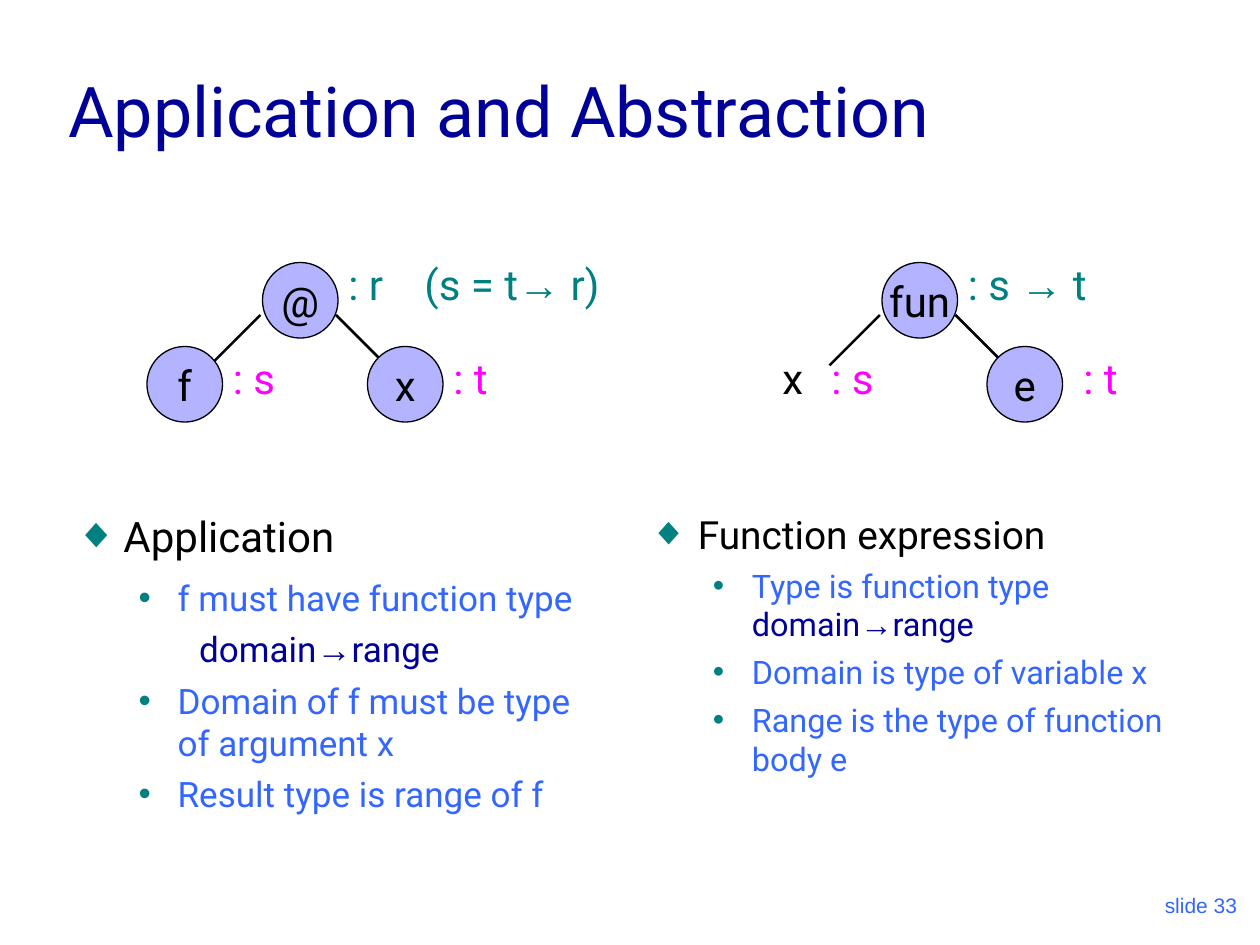
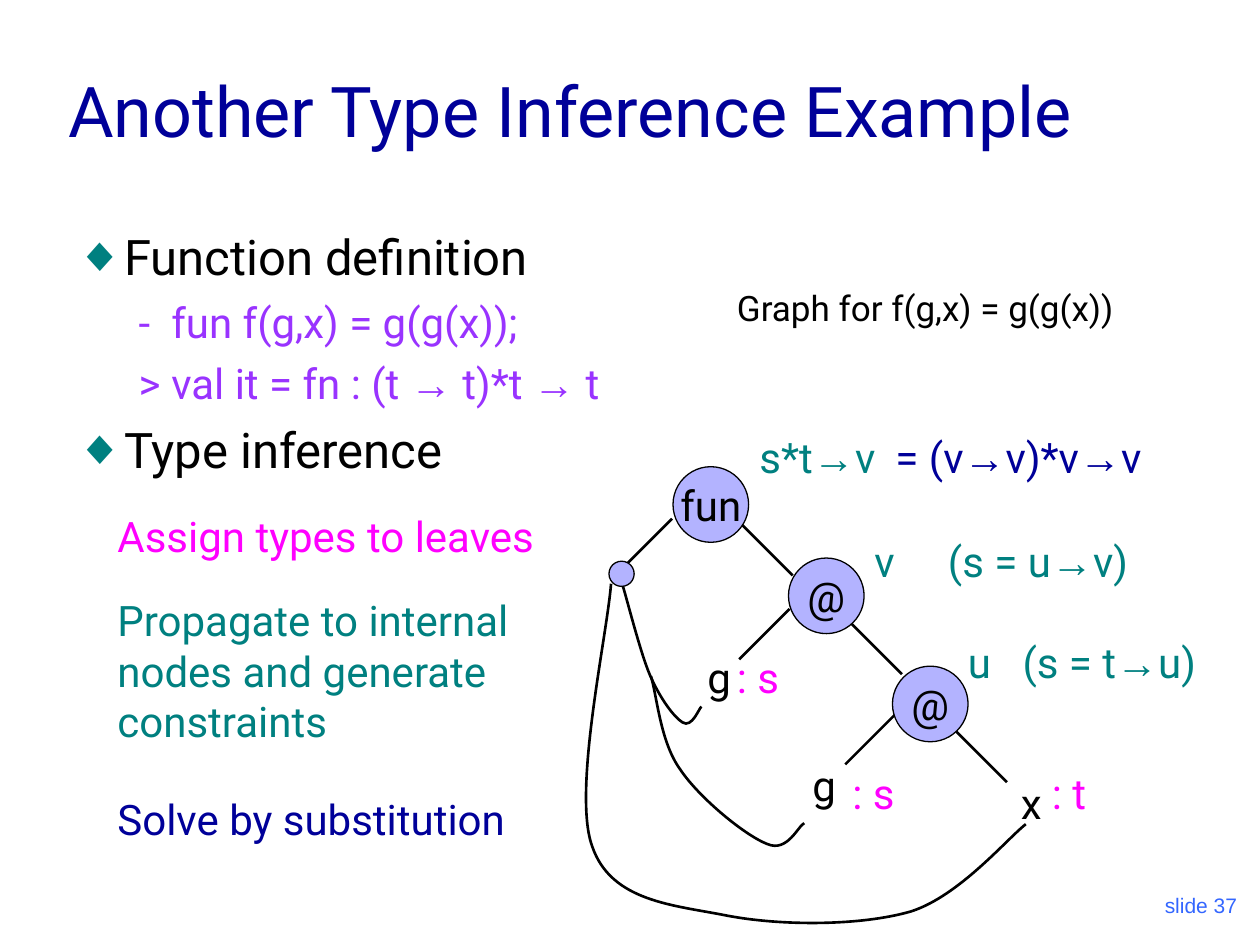
from dataclasses import dataclass
from itertools import groupby
from typing import NamedTuple

from lxml import etree
from pptx import Presentation, util as u
from pptx.dml.color import RGBColor
from pptx.enum import shapes, text
from pptx.oxml import ns

NAVY = RGBColor(0x00, 0x00, 0x99)
BLUE = RGBColor(0x33, 0x66, 0xFF)
TEAL = RGBColor(0x00, 0x80, 0x80)
PINK = RGBColor(0xFF, 0x00, 0xFF)
PURPLE = RGBColor(0x99, 0x33, 0xFF)
LILAC = RGBColor(0xB3, 0xB3, 0xFF)
BLACK = RGBColor(0x00, 0x00, 0x00)

MAIN_FONT, PLAIN_FONT = "Roboto", "Arial"
ARROW = "→"

# The slide is a grid of 120 columns by 90 rows of square cells.
COLUMNS, ROWS = 120, 90
CELL = u.Inches(10) // COLUMNS
NODE_SIZE, EDGE_REACH, LABEL_HEIGHT = 7.2, 4.8, 6
LEFT, RIGHT = -1, 1

Point = tuple[float, float]


class Span(NamedTuple):
    text: str
    color: RGBColor


@dataclass
class Item:
    """One paragraph of a list; indents are in inches."""
    spans: list[Span]
    size: float
    before: float
    level: int = 1
    margin: float = 0.81
    hang: float = 0.31
    bullet: str = "•"


@dataclass
class Label:
    """A piece of free text; a tab in it reaches the stop, in cells."""
    text: str
    x: float
    y: float
    color: RGBColor = TEAL
    width: float = 13
    height: float = LABEL_HEIGHT
    size: float = 24
    align: text.PP_ALIGN = text.PP_ALIGN.LEFT
    font: str = MAIN_FONT
    tab: float = 0


class Node(NamedTuple):
    text: str
    x: float
    y: float
    size: float = NODE_SIZE


class Edge(NamedTuple):
    x: float
    y: float
    side: int


def cells(*counts: float) -> list[u.Emu]:
    return [u.Emu(round(n * CELL)) for n in counts]


def set_font(font, name: str, size: float, color: RGBColor) -> None:
    font.name, font.size, font.color.rgb = name, u.Pt(size), color


def write(p, spans: list[Span], size: float, name: str = MAIN_FONT) -> None:
    """Fill a paragraph, with arrows set in the plain font."""
    set_font(p.font, name, size, spans[0].color)
    for span in spans:
        for is_arrow, chars in groupby(span.text, lambda c: c == ARROW):
            r = p.add_run()
            r.text = "".join(chars)
            set_font(r.font, PLAIN_FONT if is_arrow else name, size, span.color)


def add_before_font(p, elements: list) -> None:
    """Put elements where the schema wants them, ahead of the font."""
    defaults = p._p.get_or_add_pPr().find(ns.qn("a:defRPr"))
    for element in elements:
        defaults.addprevious(element)


def set_bullet(p, item: Item) -> None:
    pPr = p._p.get_or_add_pPr()
    pPr.set("marL", str(u.Inches(item.margin)))
    pPr.set("indent", str(-u.Inches(item.hang)))
    if not item.bullet:
        add_before_font(p, [etree.Element(ns.qn("a:buNone"))])
        return
    color = etree.Element(ns.qn("a:buClr"))
    etree.SubElement(color, ns.qn("a:srgbClr"), val=str(TEAL))
    add_before_font(p, [color,
                        etree.Element(ns.qn("a:buFont"), typeface=PLAIN_FONT),
                        etree.Element(ns.qn("a:buChar"), char=item.bullet)])


def place(sp, x: float, y: float, width: float, height: float) -> None:
    sp.left, sp.top, sp.width, sp.height = cells(x, y, width, height)


def fill_list(sp, items: list[Item]) -> None:
    tf = sp.text_frame
    tf.auto_size = text.MSO_AUTO_SIZE.NONE
    for i, item in enumerate(items):
        p = tf.add_paragraph() if i else tf.paragraphs[0]
        p.level = item.level
        p.space_before = u.Pt(item.before)
        write(p, item.spans, item.size)
        set_bullet(p, item)


def heading(words: str, size: float, before: float) -> Item:
    return Item([Span(words, BLACK)], size, before, 0, 0.38, 0.38, "◆")


def point(words: str, size: float, before: float = 5) -> Item:
    return Item([Span(words, BLUE)], size, before)


def code(words: str) -> Item:
    return Item([Span(words, PURPLE)], 24, 6, 1, 0.76, 0.26, "")


def add_label(s, label: Label):
    sp = s.shapes.add_textbox(*cells(label.x, label.y, label.width, label.height))
    tf = sp.text_frame
    tf.word_wrap = True
    p = tf.paragraphs[0]
    p.alignment = label.align
    write(p, [Span(label.text, label.color)], label.size, label.font)
    if label.tab:
        stops = etree.Element(ns.qn("a:tabLst"))
        etree.SubElement(stops, ns.qn("a:tab"), pos=str(cells(label.tab)[0]), algn="l")
        add_before_font(p, [stops])
    return sp


def add_node(s, node: Node) -> None:
    sp = s.shapes.add_shape(shapes.MSO_SHAPE.OVAL,
                            *cells(node.x, node.y, node.size, node.size))
    sp.shadow.inherit = False
    sp.fill.solid()
    sp.fill.fore_color.rgb = LILAC
    sp.line.color.rgb = BLACK
    sp.line.width = u.Pt(0.75)
    if node.text:
        tf = sp.text_frame
        tf.word_wrap = False
        tf.vertical_anchor = text.MSO_ANCHOR.MIDDLE
        p = tf.paragraphs[0]
        p.alignment = text.PP_ALIGN.CENTER
        write(p, [Span(node.text, BLACK)], 24)


def add_edge(s, edge: Edge) -> None:
    """Draw a line sloping down at 45 degrees to one side."""
    line = s.shapes.add_connector(
        shapes.MSO_CONNECTOR.STRAIGHT,
        *cells(edge.x, edge.y, edge.x + edge.side * EDGE_REACH, edge.y + EDGE_REACH))
    line.line.color.rgb = BLACK
    line.line.width = u.Pt(1.5)
    etree.SubElement(line._element.spPr, ns.qn("a:effectLst"))


def add_curve(s, controls: list[Point]) -> None:
    """Draw joined cubic curves; every third control lies on the line."""
    builder = s.shapes.build_freeform(*cells(*controls[0]), scale=1.0)
    builder.add_line_segments([cells(*pt) for pt in controls[1:]], close=False)
    sp = builder.convert_to_shape()
    segments = list(sp._element.iter(ns.qn("a:lnTo")))
    for i in range(0, len(segments), 3):
        cubic = etree.Element(ns.qn("a:cubicBezTo"))
        segments[i].addprevious(cubic)
        for segment in segments[i:i + 3]:
            cubic.append(segment[0])
            segment.getparent().remove(segment)
    sp.shadow.inherit = False
    sp.fill.background()
    sp.line.color.rgb = BLACK
    sp.line.width = u.Pt(1.5)


def add_graph(s, edges: list[Edge], nodes: list[Node], labels: list[Label]) -> None:
    for edge in edges:
        add_edge(s, edge)
    for node in nodes:
        add_node(s, node)
    for label in labels:
        add_label(s, label)


def start_slide(prs, layout: int, title: str, number: int):
    s = prs.slides.add_slide(prs.slide_layouts[layout])
    sp = s.shapes.title
    place(sp, 5.3, 3, 102, 12)
    tf = sp.text_frame
    tf.auto_size = text.MSO_AUTO_SIZE.NONE
    tf.vertical_anchor = text.MSO_ANCHOR.BOTTOM
    p = tf.paragraphs[0]
    p.alignment = text.PP_ALIGN.LEFT
    write(p, [Span(title, NAVY)], 40)
    footer = add_label(s, Label(f"slide {number}", 94, 82, BLUE, 25, 6, 12,
                                text.PP_ALIGN.RIGHT, PLAIN_FONT))
    footer.text_frame.vertical_anchor = text.MSO_ANCHOR.BOTTOM
    return s


def build_application_slide(prs) -> None:
    s = start_slide(prs, 3, "Application and Abstraction", 33)
    application, function = s.placeholders[1], s.placeholders[2]
    place(application, 6, 48, 52.7, 31.5)
    place(function, 60.7, 48, 54.4, 31.5)
    fill_list(application, [
        heading("Application", 24, 6),
        point("f must have function type", 20, 9),
        Item([Span("domain→range", NAVY)], 20, 5, margin=0.98, hang=0, bullet=""),
        point("Domain of f must be type of argument x", 20, 6),
        point("Result type is range of f", 20)])
    fill_list(function, [
        heading("Function expression", 22.2, 6),
        Item([Span("Type is function type ", BLUE), Span("domain→range", NAVY)], 18.5, 5),
        point("Domain is type of variable x", 18.5),
        point("Range is the type of function body e", 18.5)])
    top, low = 25, 33
    roots = (25, 84)
    add_graph(
        s,
        [Edge(x + offset, top + 5, side) for x in roots
         for offset, side in ((-0.2, LEFT), (7, RIGHT))],
        [Node("@", roots[0], top), Node("f", 14, low), Node("x", 35, low),
         Node("fun", roots[1], top), Node("e", 94, low)],
        [Label(": r\t(s = t→ r)", 32, 24, width=37, tab=7.25),
         Label(": s → t", 91, 24, width=19),
         Label("x", 70, low, BLACK, 11, align=text.PP_ALIGN.CENTER),
         *(Label(": s", x, low, PINK) for x in (21, 78)),
         *(Label(": t", x, low, PINK) for x in (42, 102))])


def build_inference_slide(prs) -> None:
    s = start_slide(prs, 1, "Another Type Inference Example", 37)
    body = s.placeholders[1]
    place(body, 6, 21, 107.25, 26)
    fill_list(body, [
        heading("Function definition", 28, 7),
        code("-\tfun f(g,x) = g(g(x));"),
        code(">\tval it = fn : (t → t)*t → t"),
        heading("Type inference", 28, 7)])
    curves = [
        [(66.8, 67.3), (66.6, 67.4), (65.9, 69.4), (65, 68.8), (64.2, 68.3),
         (62.9, 66.6), (61.9, 64.3), (61, 62.2), (59.8, 57.4), (59.2, 55.4)],
        [(97.7, 78.5), (95.9, 79.9), (91.4, 85.3), (86.8, 86.8), (82, 88.2),
         (74.4, 88.2), (69.2, 87.2), (64.2, 86.2), (58.2, 85.9), (56.4, 80.6),
         (54.5, 75.4), (57.8, 60.7), (58.2, 55.6)],
        [(76.6, 78.4), (76, 78.7), (75, 81.2), (73.1, 80.4), (71, 79.6),
         (66.6, 76), (64.8, 73.3), (62.9, 70.7), (62.6, 66.4), (62, 64.4)]]
    for curve in curves:
        add_curve(s, curve)
    center = text.PP_ALIGN.CENTER
    add_graph(
        s,
        [Edge(64, 49.4, LEFT), Edge(70.7, 50, RIGHT),
         Edge(75.2, 58, LEFT), Edge(81.1, 59.4, RIGHT),
         Edge(85.3, 68, LEFT), Edge(91.1, 69.7, RIGHT)],
        [Node("fun", 64.1, 44.45), Node("@", 75.1, 53.15), Node("@", 85, 63.45),
         Node("", 58, 53.45, 2.4)],
        [Label("Graph for f(g,x) = g(g(x))", 69, 26.7, BLACK, 44, size=20),
         Label("Assign types to leaves", 10, 48, PINK, 44),
         Label("Propagate to internal nodes and generate constraints",
               10, 56.05, TEAL, 51, 15.6),
         Label("Solve by substitution", 10, 75, NAVY, 44),
         Label("s*t→v", 71.15, 40.5, width=14),
         Label("= (v→v)*v→v", 84.1, 40.5, NAVY, 28),
         Label("v\t(s = u→v)", 82.1, 50.45, width=30, tab=7),
         Label("u\t(s = t→u)", 91, 60, width=27, tab=5.2),
         Label("g", 63, 61.45, BLACK, 11, align=center),
         Label("g", 73, 71.75, BLACK, 11, align=center),
         Label("x", 96.05, 73.5, BLACK, 6),
         Label(": s", 69, 61.45, PINK, 7), Label(": s", 80, 72.5, PINK, 7),
         Label(": t", 99, 72.5, PINK, 9)])


def main() -> None:
    prs = Presentation()
    prs.slide_width, prs.slide_height = cells(COLUMNS, ROWS)
    build_application_slide(prs)
    build_inference_slide(prs)
    prs.save("out.pptx")


if __name__ == "__main__":
    main()
